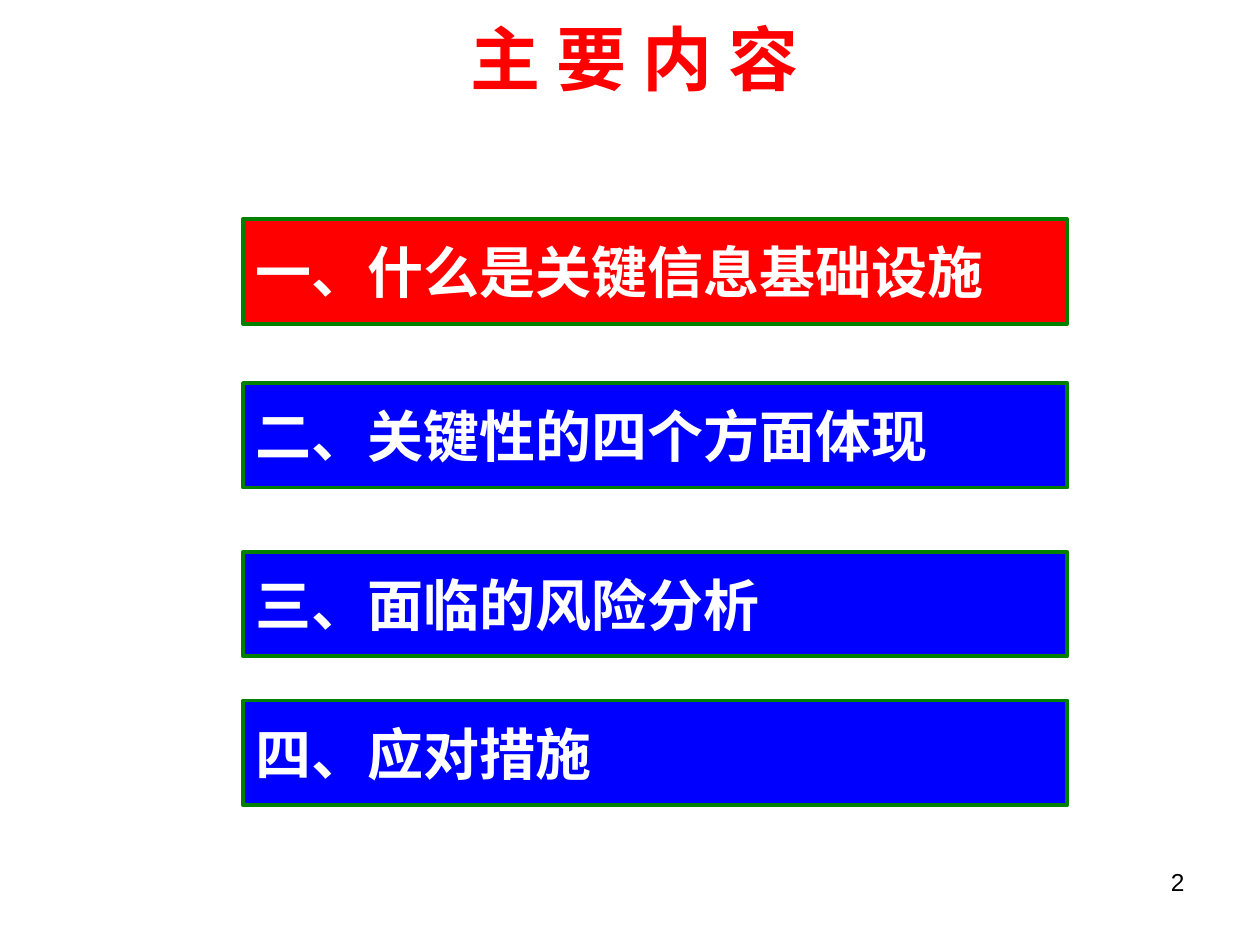
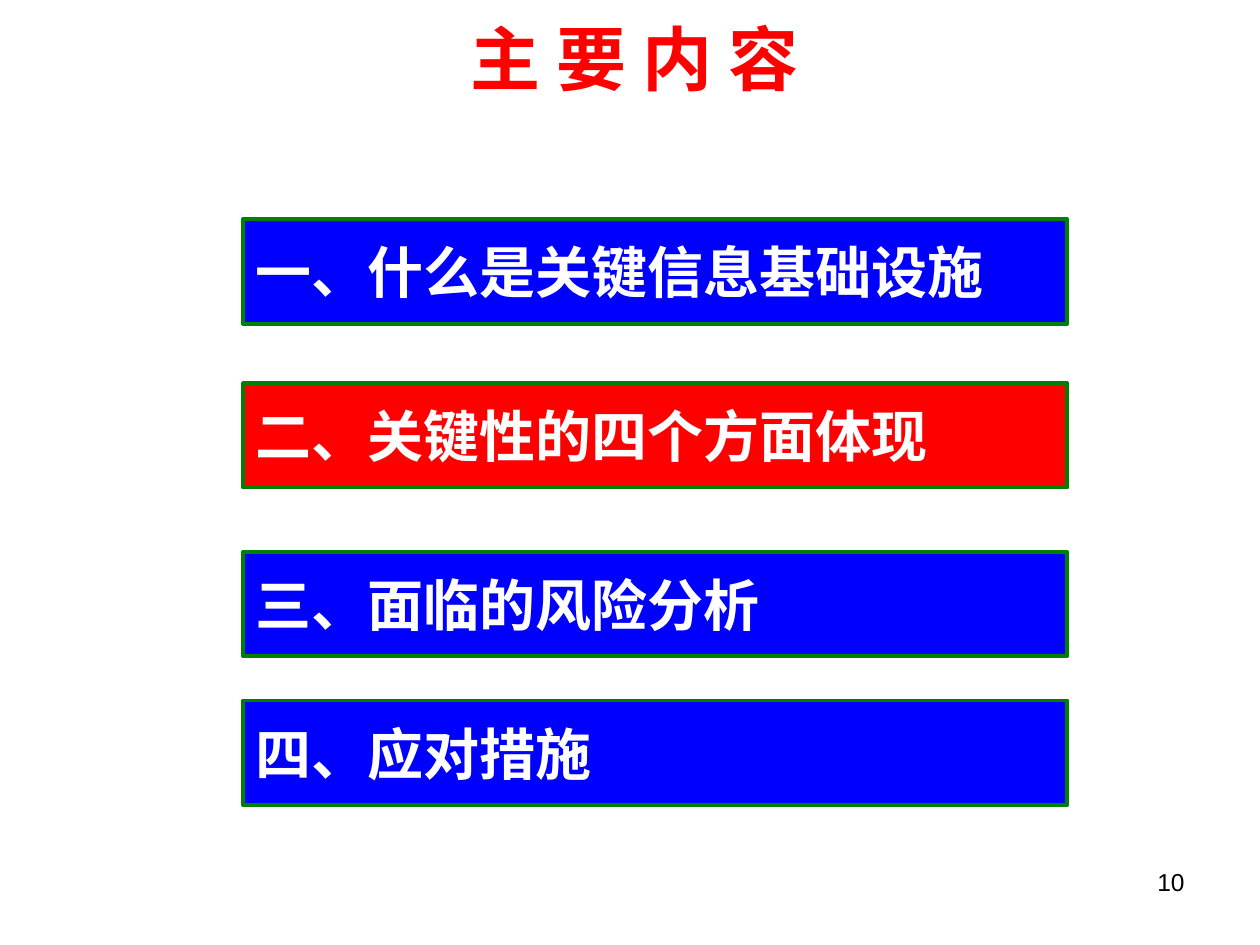
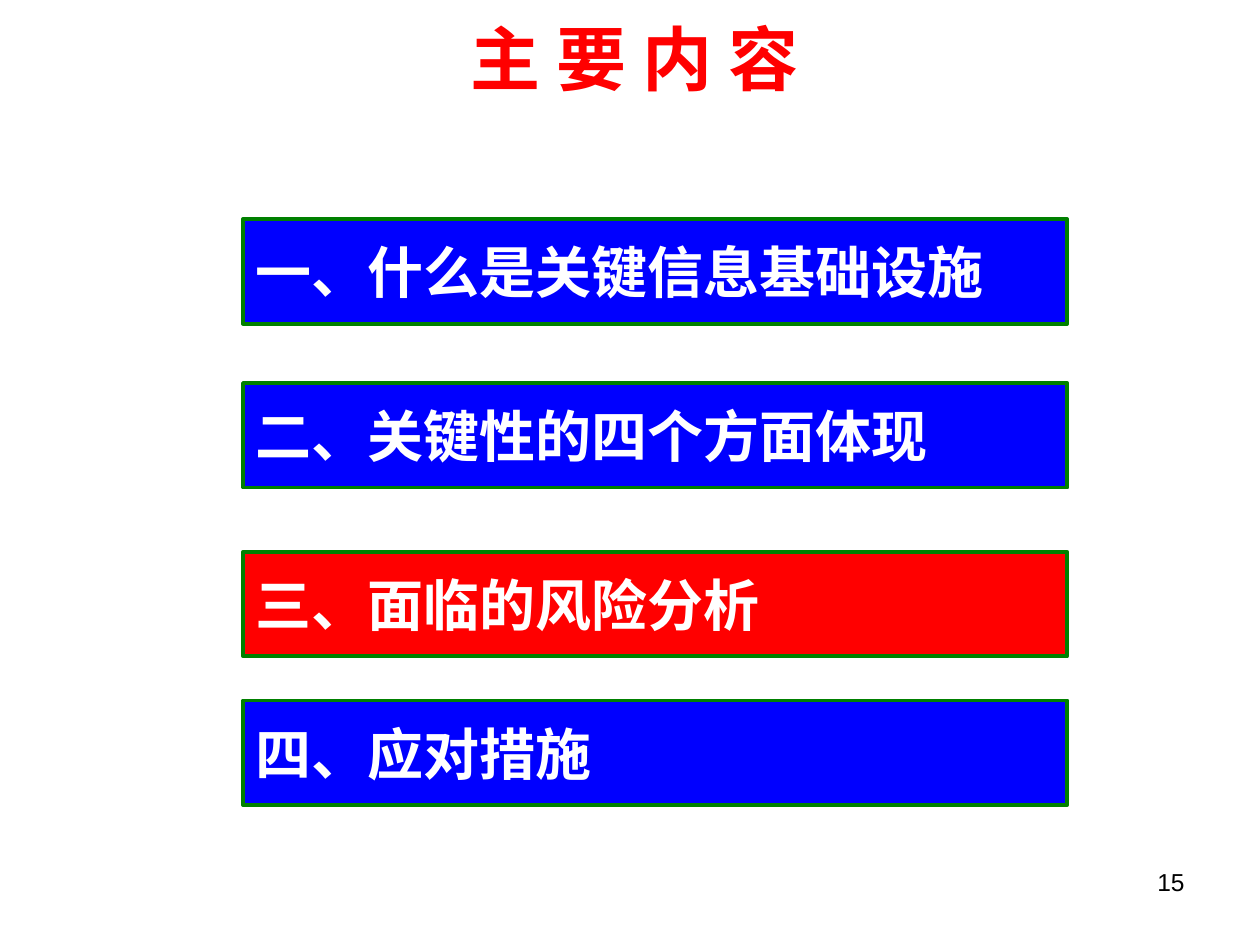
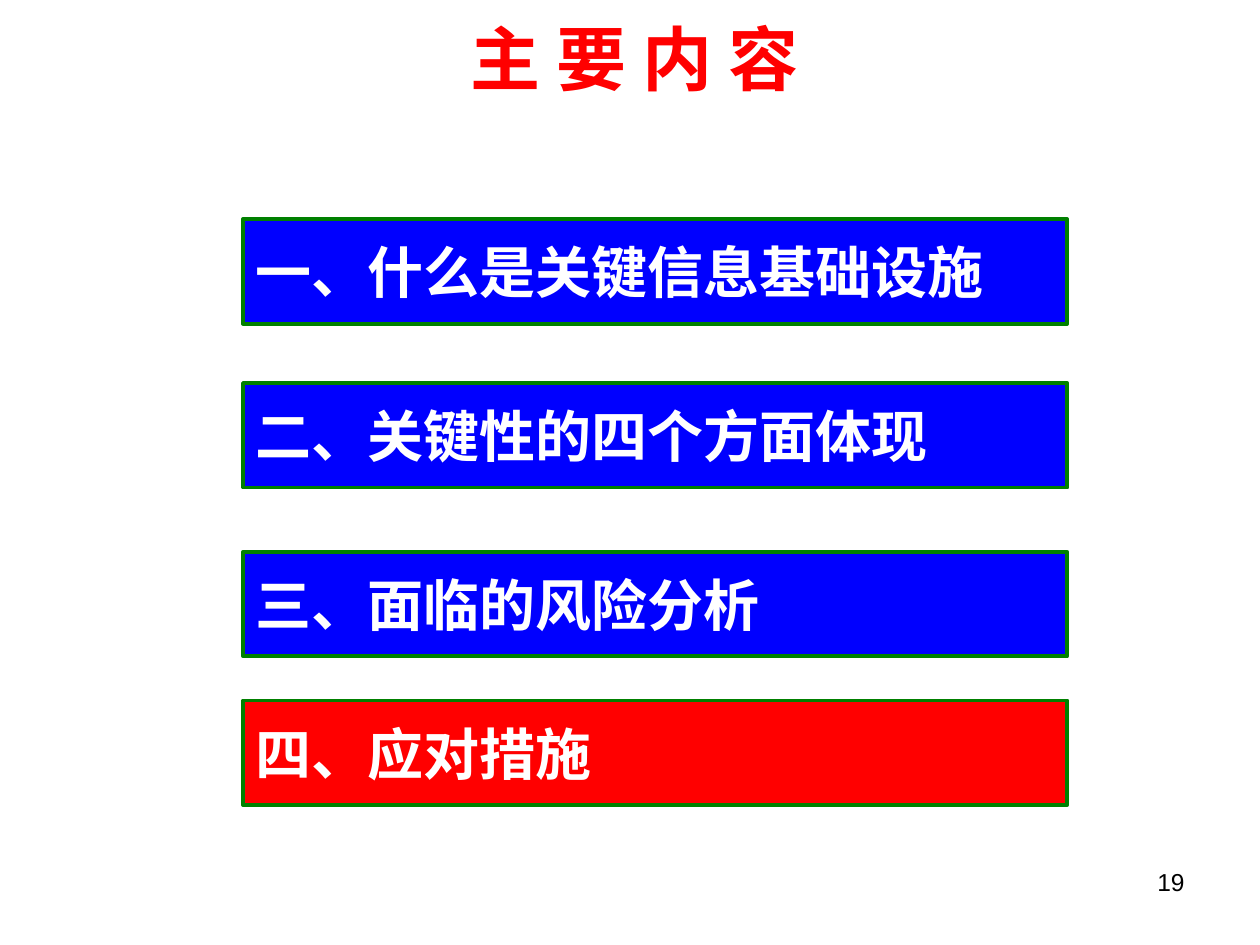
from lxml.etree import SubElement
from pptx import Presentation
from pptx.dml.color import RGBColor
from pptx.enum.shapes import MSO_SHAPE
from pptx.enum.text import MSO_ANCHOR, PP_ALIGN
from pptx.oxml.ns import qn
from pptx.util import Inches, Pt

# Content
TITLE = "主 要 内 容"
SECTIONS = [  # text, top of its bar
    ("一、什么是关键信息基础设施", 1.74),
    ("二、关键性的四个方面体现", 3.04),
    ("三、面临的风险分析", 4.38),
    ("四、应对措施", 5.56),
]
PAGE_NUMBERS = [2, 10, 15, 19]  # one agenda slide per section

# Shared style
RED = RGBColor(0xFF, 0x00, 0x00)
BLUE = RGBColor(0x00, 0x00, 0xFF)
GREEN = RGBColor(0x00, 0x80, 0x00)
WHITE = RGBColor(0xFF, 0xFF, 0xFF)
BLACK = RGBColor(0x00, 0x00, 0x00)
CHINESE_FONT = "Noto Sans CJK SC"
NUMBER_FONT = "Arial"

TITLE_BOX = (0.43, 0, 9.21, 0.91)
NUMBER_BOX = (7.17, 6.83, 2.33, 0.52)
BAR_LEFT, BAR_WIDTH, BAR_HEIGHT = 1.93, 6.54, 0.83


def write(shape, text, size, font_name, color, bold=False,
          align=PP_ALIGN.LEFT, anchor=MSO_ANCHOR.MIDDLE):
    frame = shape.text_frame
    frame.word_wrap = True
    frame.vertical_anchor = anchor
    paragraph = frame.paragraphs[0]
    paragraph.text = text
    paragraph.alignment = align
    font = paragraph.font
    font.size = Pt(size)
    font.bold = bold
    font.color.rgb = color
    font.name = font_name
    # Chinese characters take the East Asian typeface
    properties = paragraph._p.get_or_add_pPr().get_or_add_defRPr()
    SubElement(properties, qn("a:ea"), typeface=font_name)


def add_text(slide, box, text, **style):
    shape = slide.shapes.add_textbox(*map(Inches, box))
    write(shape, text, **style)


def add_section_bar(slide, text, top, fill):
    box = (BAR_LEFT, top, BAR_WIDTH, BAR_HEIGHT)
    bar = slide.shapes.add_shape(MSO_SHAPE.RECTANGLE, *map(Inches, box))
    bar.shadow.inherit = False
    bar.fill.solid()
    bar.fill.fore_color.rgb = fill
    bar.line.color.rgb = GREEN
    bar.line.width = Pt(2.25)
    write(bar, text, size=32, font_name=CHINESE_FONT, color=WHITE, bold=True)


def add_agenda_slide(presentation, current, page_number):
    slide = presentation.slides.add_slide(presentation.slide_layouts[6])
    add_text(slide, TITLE_BOX, TITLE, size=40, font_name=CHINESE_FONT,
             color=RED, bold=True, align=PP_ALIGN.CENTER)
    # The current section is highlighted
    for index, (text, top) in enumerate(SECTIONS):
        add_section_bar(slide, text, top, RED if index == current else BLUE)
    add_text(slide, NUMBER_BOX, str(page_number), size=14,
             font_name=NUMBER_FONT, color=BLACK, align=PP_ALIGN.RIGHT,
             anchor=MSO_ANCHOR.TOP)


def main():
    presentation = Presentation()
    presentation.slide_width = Inches(10)
    presentation.slide_height = Inches(7.5)
    for current, page_number in enumerate(PAGE_NUMBERS):
        add_agenda_slide(presentation, current, page_number)
    presentation.save("out.pptx")


if __name__ == "__main__":
    main()
